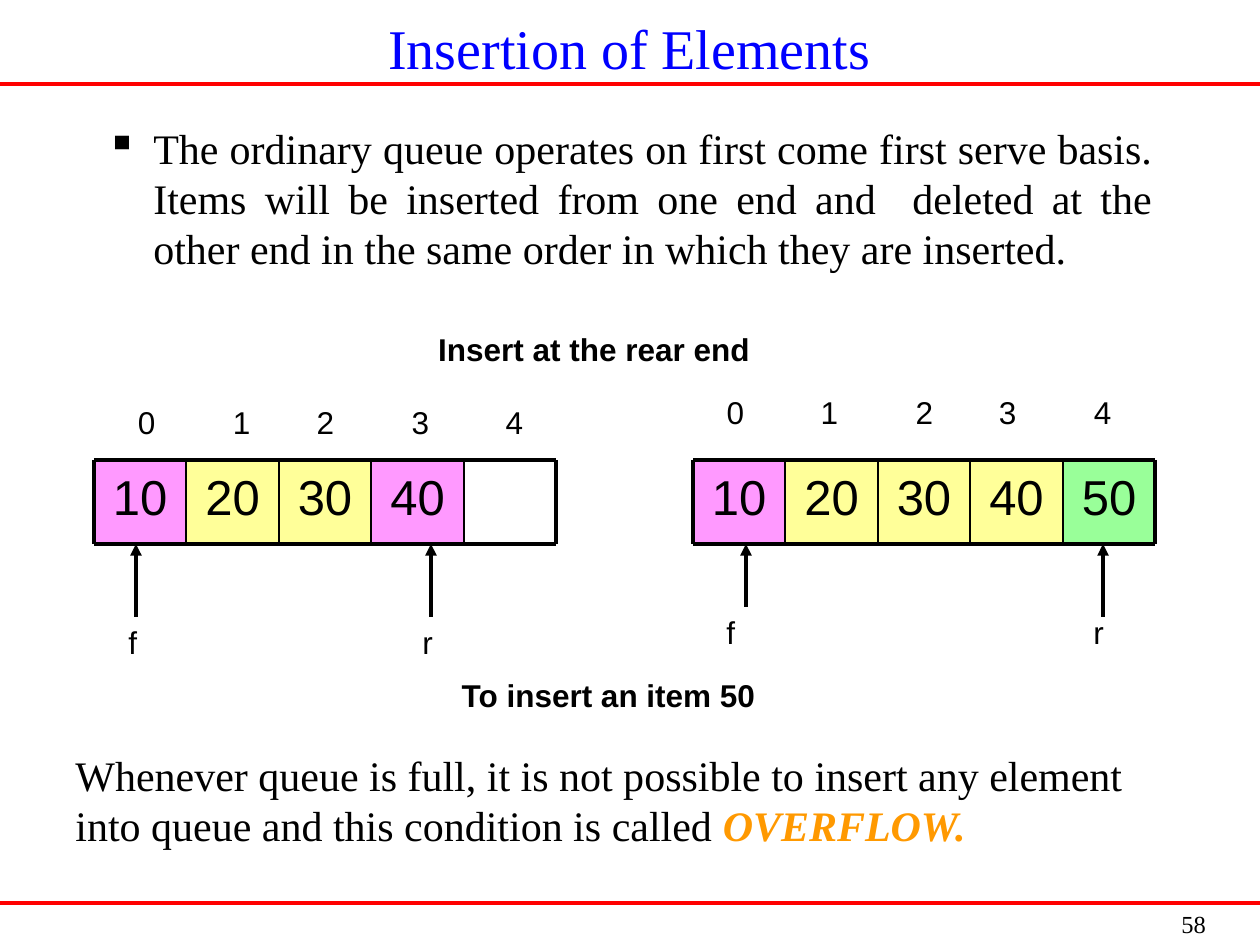
import lxml.etree
import pptx
import pptx.util
import pptx.dml.color
import pptx.enum.shapes
import pptx.enum.text
import pptx.oxml.ns

RGB = pptx.dml.color.RGBColor
ALIGN = pptx.enum.text.PP_ALIGN
ANCHOR = pptx.enum.text.MSO_ANCHOR
SHAPE = pptx.enum.shapes.MSO_SHAPE
LINE = pptx.enum.shapes.MSO_CONNECTOR.STRAIGHT
Pt = pptx.util.Pt

BLACK = RGB(0, 0, 0)
RED = RGB(255, 0, 0)
BLUE = RGB(0, 0, 255)
PINK = RGB(0xFF, 0x99, 0xFF)
YELLOW = RGB(0xFF, 0xFF, 0x99)
GREEN = RGB(0x99, 0xFF, 0x99)
ORANGE = RGB(0xFF, 0x99, 0)
SERIF, SANS = "Times New Roman", "Arial"


def px(n):
    return pptx.util.Emu(round(n * 914400 / 126))


def add_xml(parent, tag, **attrs):
    lxml.etree.SubElement(parent, pptx.oxml.ns.qn(tag), attrs)


def write(p, text, font=SANS, size=18, color=BLACK, bold=False, italic=False,
          align=ALIGN.LEFT, before=0):
    """Add one formatted run to a paragraph."""
    p.alignment, p.space_before = align, Pt(before)
    r = p.add_run()
    r.text = text
    f = r.font
    f.name, f.size, f.bold, f.italic = font, Pt(size), bold, italic
    f.color.rgb = color
    return p


class Board:
    def __init__(self, prs):
        self.s = prs.slides.add_slide(prs.slide_layouts[5])

    def title(self, text, x, y, w, h):
        sp = self.s.shapes.title
        sp.left, sp.top, sp.width, sp.height = map(px, (x, y, w, h))
        sp.text_frame.vertical_anchor = ANCHOR.MIDDLE
        write(sp.text_frame.paragraphs[0], text, font=SERIF, size=32,
              color=BLUE, align=ALIGN.CENTER)

    def text(self, text, x, y, w, h, **fmt):
        sp = self.s.shapes.add_textbox(*map(px, (x, y, w, h)))
        sp.text_frame.word_wrap = True
        return write(sp.text_frame.paragraphs[0], text, **fmt)

    def bullet(self, text, x, y, w, h, indent, **fmt):
        p = self.text(text, x, y, w, h, **fmt)
        pPr = p._p.get_or_add_pPr()
        pPr.set("marL", str(px(indent)))
        pPr.set("indent", str(-px(indent)))
        add_xml(pPr, "a:buChar", char="▪")

    def cell(self, text, x, y, w, h, fill):
        sp = self.s.shapes.add_shape(SHAPE.RECTANGLE, *map(px, (x, y, w, h)))
        sp.shadow.inherit = False
        sp.fill.solid()
        sp.fill.fore_color.rgb = fill
        sp.line.fill.background()
        sp.text_frame.vertical_anchor = ANCHOR.TOP
        write(sp.text_frame.paragraphs[0], text, size=28,
              align=ALIGN.CENTER, before=7)

    def line(self, x1, y1, x2, y2, color=BLACK, width=2.25, arrow=False):
        c = self.s.shapes.add_connector(LINE, *map(px, (x1, y1, x2, y2)))
        c.line.color.rgb, c.line.width = color, Pt(width)
        if arrow:
            add_xml(c.line._get_or_add_ln(), "a:tailEnd", type="triangle")
        add_xml(c._element.spPr, "a:effectLst")

    def queue(self, left, cells, labels_y, labels_x, pointers):
        """Draw a five-cell queue with indices and front/rear pointers."""
        top, bottom, width, slots = 460, 544, 462, 5
        edges = [round(left + i * width / slots) for i in range(slots + 1)]
        for (value, fill), x, right in zip(cells, edges, edges[1:]):
            self.cell(value, x, top, right - x, bottom - top, fill)
        for y in (top, bottom):
            self.line(left, y, left + width, y)
        for x in edges:
            outer = x in (edges[0], edges[-1])
            self.line(x, top, x, bottom, width=2.25 if outer else 1)
        for i, x in enumerate(labels_x):
            self.text(str(i), x, labels_y, 105, 50, align=ALIGN.CENTER,
                      before=11.2)
        for name, arrow_x, tail_y, x, y in pointers:
            self.line(arrow_x, tail_y, arrow_x, bottom, arrow=True)
            self.text(name, x, y, 53, 50, before=11.2)


prs = pptx.Presentation()
prs.slide_width, prs.slide_height = px(1260), px(945)
board = Board(prs)

# Rules, page number and title
for y in (84, 903):
    board.line(0, y, 1260, y, color=RED, width=2)
board.text("58", 1169, 903, 80, 42, font=SERIF, size=14)
board.title("Insertion of Elements", 94, 0, 1071, 94)

# Introduction
board.bullet("The ordinary queue operates on first come first serve basis. "
             "Items will be inserted from one end and  deleted at the other "
             "end in the same order in which they are inserted.",
             94, 116, 1071, 170, indent=47, font=SERIF, size=24,
             align=ALIGN.JUSTIFY, before=6)

# Queues before and after the insertion
board.queue(94, [("10", PINK), ("20", YELLOW), ("30", YELLOW), ("40", PINK)],
            397, (94, 189, 273, 368, 462),
            [("f", 136, 617, 116, 617), ("r", 431, 617, 410, 617)])
board.queue(693, [("10", PINK), ("20", YELLOW), ("30", YELLOW),
                  ("40", YELLOW), ("50", GREEN)],
            387, (683, 777, 872, 955, 1050),
            [("f", 746, 607, 714, 607), ("r", 1103, 617, 1081, 607)])

# Captions
board.text("To insert an item 50", 325, 670, 567, 50, bold=True,
           align=ALIGN.CENTER, before=11.2)
board.text("Insert at the rear end", 284, 324, 620, 50, bold=True,
           align=ALIGN.CENTER, before=4.5)

# Conclusion
p = board.text("Whenever queue is full, it is not possible to insert any "
               "element into queue and this condition is called ",
               63, 743, 1103, 113, font=SERIF, size=24, before=15)
write(p, "OVERFLOW.", font=SERIF, size=24, color=ORANGE, bold=True,
      italic=True, before=15)

prs.save("out.pptx")
